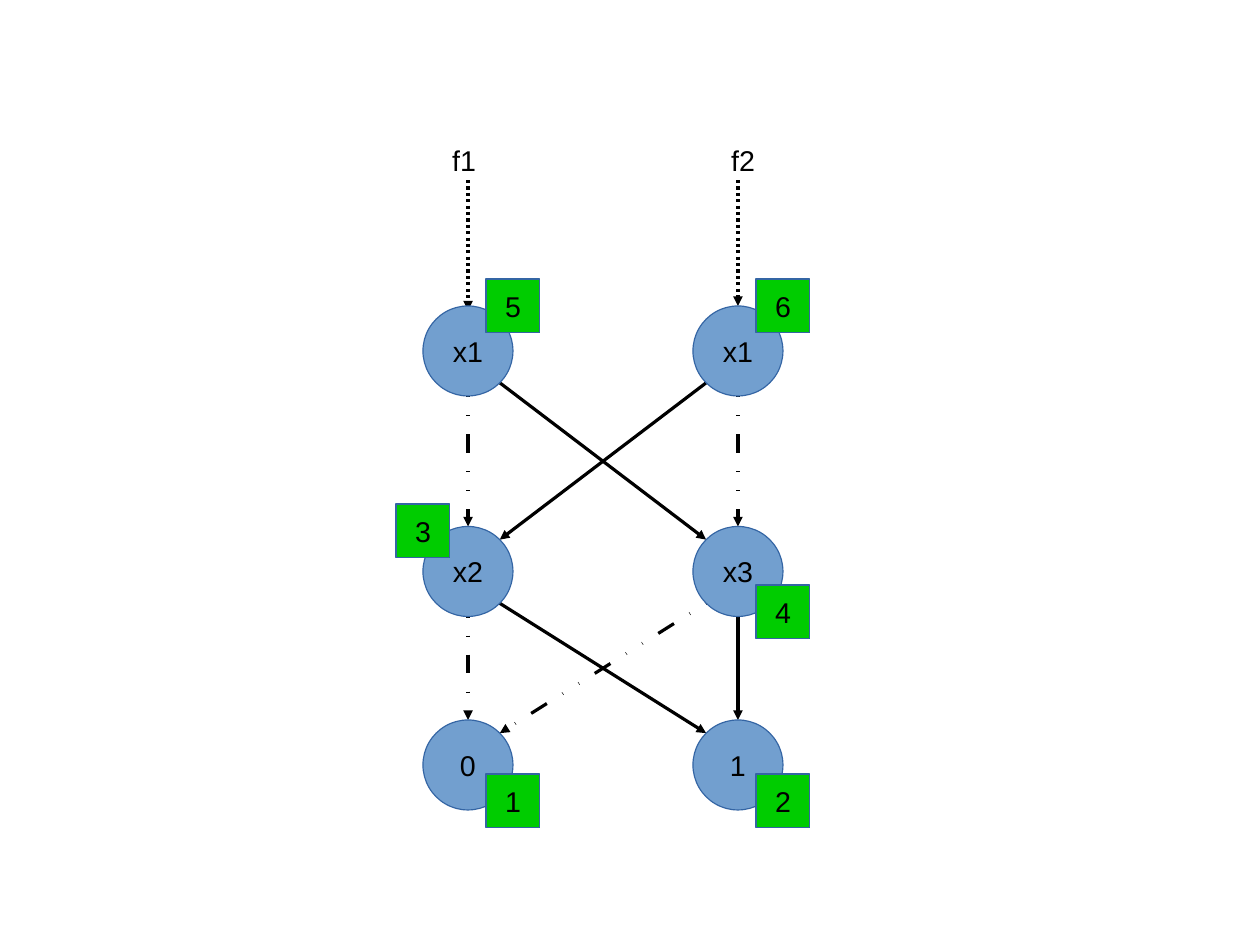
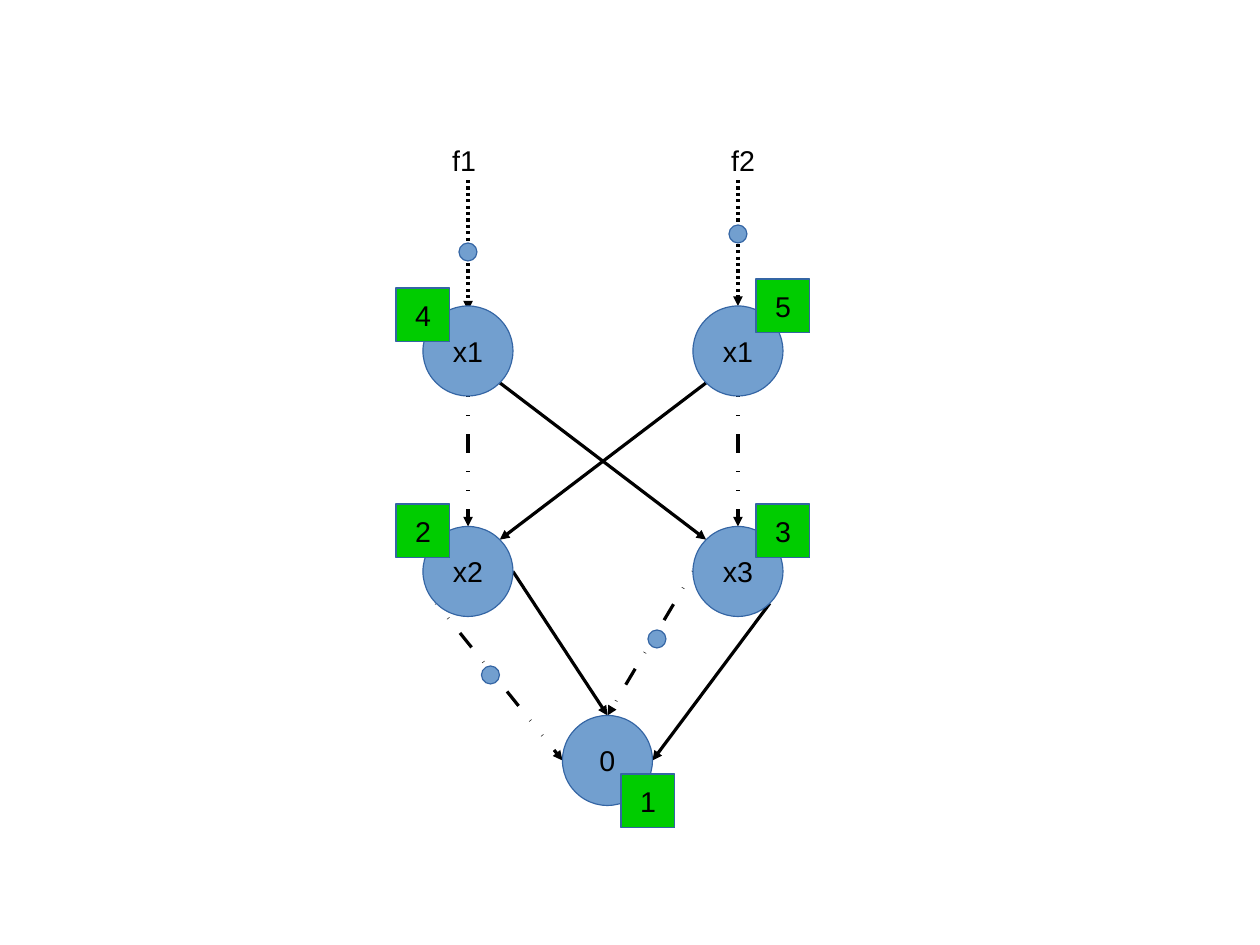
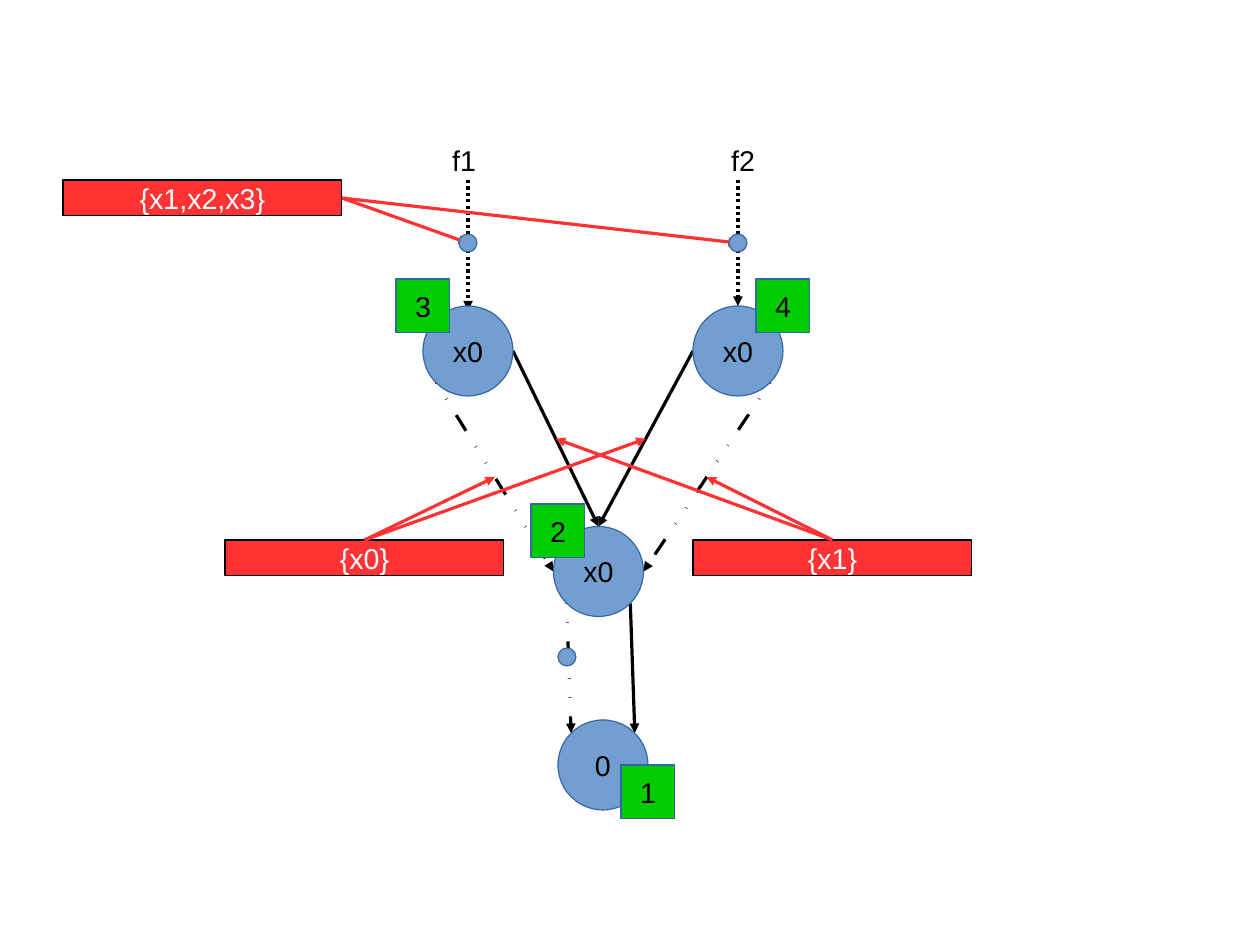
from math import sqrt

from lxml import etree
from pptx import Presentation
from pptx.dml.color import RGBColor
from pptx.enum import dml, shapes as forms, text
from pptx.oxml import ns
from pptx.util import Cm, Pt

BLACK = RGBColor(0x00, 0x00, 0x00)
WHITE = RGBColor(0xFF, 0xFF, 0xFF)
BLUE = RGBColor(0x72, 0x9F, 0xCF)
NAVY = RGBColor(0x34, 0x65, 0xA4)
GREEN = RGBColor(0x00, 0xCC, 0x00)
RED = RGBColor(0xFF, 0x33, 0x33)

OVAL = forms.MSO_SHAPE.OVAL
RECT = forms.MSO_SHAPE.RECTANGLE

# All lengths are centimetres.
RADIUS, DOT, BADGE = 1, 0.4, 1.2
SET_W, SET_H = 6.2, 0.8
LEFT, RIGHT = 10.4, 16.4
TOP, MID, LOW = 7.8, 12.7, 17
START = 4

DIAG = sqrt(0.5)
SIDES = {
    "n": (0, -1), "s": (0, 1), "e": (1, 0), "w": (-1, 0),
    "ne": (DIAG, -DIAG), "nw": (-DIAG, -DIAG),
    "se": (DIAG, DIAG), "sw": (-DIAG, DIAG),
}
# Dash and gap lengths in thousandths of a percent of the line width
DASHES = ((15000, 580000), (15000, 580000), (580000, 580000))


def write(shape, words, color=BLACK, align=None, size=18, font="Arial"):
    para = shape.text_frame.paragraphs[0]
    para.alignment = align
    run = para.add_run()
    run.text = words
    run.font.name = font
    run.font.size = Pt(size)
    run.font.color.rgb = color


def block(slide, form, box, fill, line=NAVY, words="", color=BLACK):
    """Add a filled shape with centred, unwrapped text."""
    shape = slide.shapes.add_shape(form, *map(Cm, box))
    shape.shadow.inherit = False
    shape.fill.solid()
    shape.fill.fore_color.rgb = fill
    shape.line.color.rgb = line
    shape.line.width = Pt(0)
    if words:
        frame = shape.text_frame
        frame.word_wrap = False
        frame.vertical_anchor = text.MSO_ANCHOR.MIDDLE
        write(shape, words, color, text.PP_ALIGN.CENTER)


def node(slide, mid, words="", size=2 * RADIUS):
    x, y = mid
    block(slide, OVAL, (x - size / 2, y - size / 2, size, size), BLUE,
          words=words)


def dots(slide, *mids):
    for mid in mids:
        node(slide, mid, size=DOT)


def badges(slide, *spots):
    """Number the badges from 1 up, or from a leading top-left list."""
    for num, (x, y) in enumerate(spots, 1):
        block(slide, RECT, (x, y, BADGE, BADGE), GREEN, words=str(num))


def arrow(slide, start, end, color=BLACK, style="solid"):
    line = slide.shapes.add_connector(
        forms.MSO_CONNECTOR.STRAIGHT, *map(Cm, (*start, *end)))
    line.line.color.rgb = color
    line.line.width = Pt(0)
    if style == "dotted":
        line.line.dash_style = dml.MSO_LINE.ROUND_DOT
    props = line.line._get_or_add_ln()
    if style == "dashed":
        dash = etree.SubElement(props, ns.qn("a:custDash"))
        for mark, gap in DASHES:
            etree.SubElement(dash, ns.qn("a:ds"), d=str(mark), sp=str(gap))
    etree.SubElement(props, ns.qn("a:tailEnd"), type="triangle")
    etree.SubElement(line._element.spPr, ns.qn("a:effectLst"))


def port(mid, side):
    """Return the point of a node's rim on the given side."""
    return tuple(c + RADIUS * d for c, d in zip(mid, SIDES[side]))


def graph(deck, nodes, solid, dashed):
    """Add a slide with two roots, the given nodes and their edges."""
    slide = deck.slides.add_slide(deck.slide_layouts[6])
    for style, edges in (("solid", solid), ("dashed", dashed)):
        for edge in edges:
            a, out, b, into = edge.split()
            arrow(slide, port(nodes[a][0], out), port(nodes[b][0], into),
                  style=style)
    roots = (("f1", LEFT, 9.8, 6.9), ("f2", RIGHT, 16, 6.8))
    for name, x, left, end in roots:
        arrow(slide, (x, START), (x, end), style="dotted")
        label = slide.shapes.add_textbox(
            *map(Cm, (left, 3.05, 1.6, 0.96)))
        label.text_frame.word_wrap = True
        write(label, name)
    for mid, words in nodes.values():
        node(slide, mid, words)
    return slide


def sets(slide, *items):
    for words, x, y, start, ends in items:
        block(slide, RECT, (x, y, SET_W, SET_H), RED, BLACK, words, WHITE)
        for end in ends:
            arrow(slide, start, end, RED)


def main():
    deck = Presentation()
    deck.slide_width, deck.slide_height = Cm(28), Cm(21)

    upper = {"a": ((LEFT, TOP), "x1"), "b": ((RIGHT, TOP), "x1"),
             "c": ((LEFT, MID), "x2"), "d": ((RIGHT, MID), "x3")}
    cross = ["a se d nw", "b sw c ne"]
    down = ["a s c n", "b s d n"]

    slide = graph(
        deck,
        {**upper, "0": ((LEFT, LOW), "0"), "1": ((RIGHT, LOW), "1")},
        cross + ["c se 1 nw", "d s 1 n"],
        down + ["c s 0 n", "d sw 0 ne"])
    badges(slide, (10.8, 17.2), (16.8, 17.2), (8.8, 11.2), (16.8, 13),
           (10.8, 6.2), (16.8, 6.2))

    slide = graph(
        deck,
        {**upper, "0": ((13.5, 16.9), "0")},
        cross + ["c e 0 n", "d se 0 e"],
        down + ["c sw 0 w", "d w 0 n"])
    dots(slide, (RIGHT, 5.2), (LEFT, 5.6), (14.6, 14.2), (10.9, 15))
    badges(slide, (13.8, 17.2), (8.8, 11.2), (16.8, 11.2), (8.8, 6.4),
           (16.8, 6.2))

    slide = graph(
        deck,
        {"a": ((LEFT, TOP), "x0"), "b": ((RIGHT, TOP), "x0"),
         "c": ((13.3, MID), "x0"), "0": ((13.4, LOW), "0")},
        ["a e c n", "b w c n", "c se 0 ne"],
        ["a sw c w", "b se c e", "c sw 0 nw"])
    taps = (LEFT, 5.4), (RIGHT, 5.4)
    sets(slide,
         ("{x1}", 15.4, 12, (18.5, 12), ((15.7, 10.6), (12.35, 9.75))),
         ("{x1,x2,x3}", 1.4, 4, (7.6, 4.4), taps),
         ("{x0}", 5, 12, (8.1, 12), ((11, 10.6), (14.35, 9.75))))
    dots(slide, (12.6, 14.6), *taps)
    badges(slide, (13.8, 17), (11.8, 11.2), (8.8, 6.2), (16.8, 6.2))

    deck.save("out.pptx")


if __name__ == "__main__":
    main()
